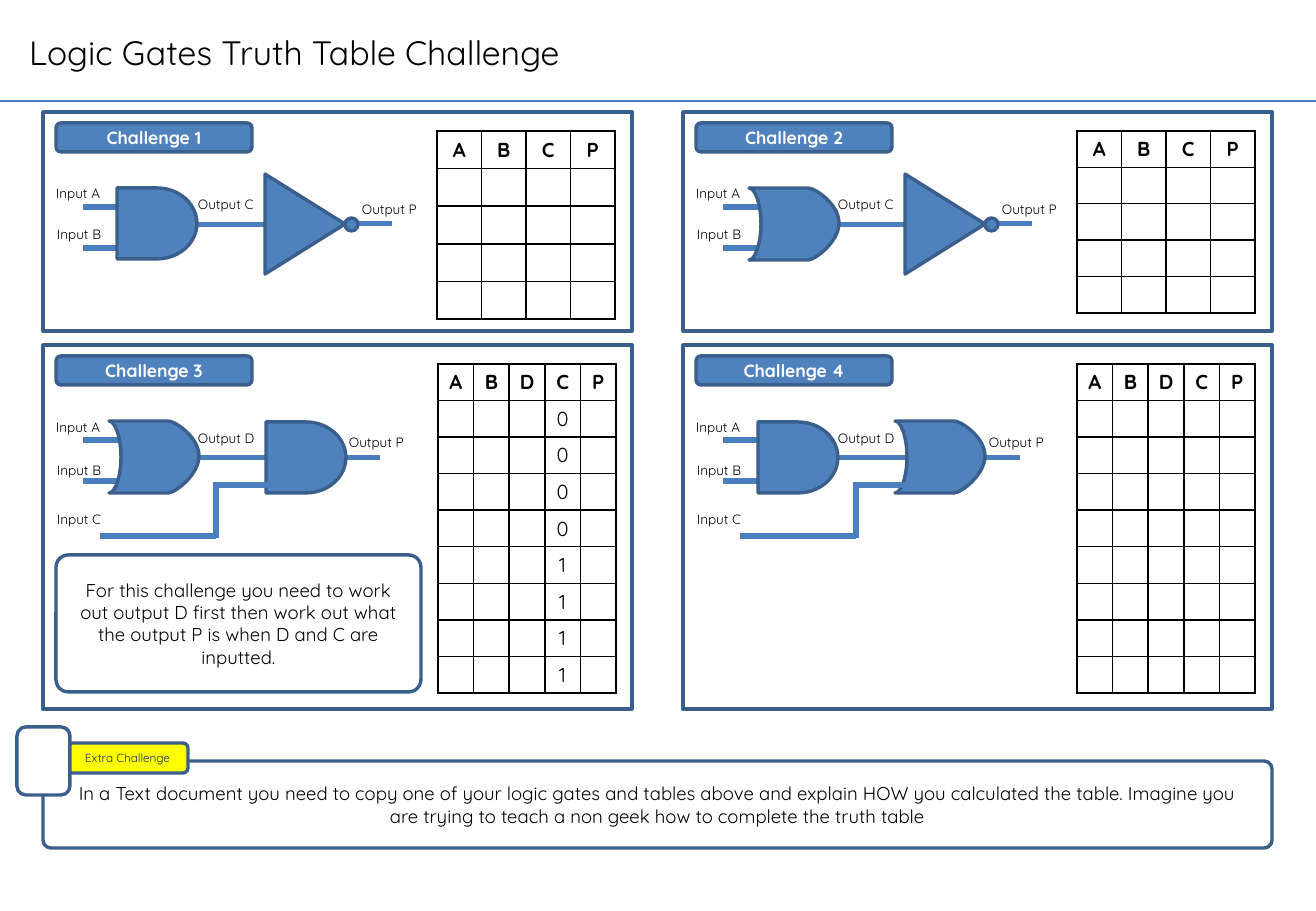
from lxml import etree
from pptx import Presentation
from pptx.dml.color import RGBColor
from pptx.enum.shapes import MSO_CONNECTOR, MSO_SHAPE
from pptx.enum.text import MSO_ANCHOR, PP_ALIGN
from pptx.oxml.ns import qn
from pptx.util import Emu, Pt

LEFT, CENTER = PP_ALIGN.LEFT, PP_ALIGN.CENTER
TOP, MIDDLE = MSO_ANCHOR.TOP, MSO_ANCHOR.MIDDLE
RECTANGLE, ROUNDED = MSO_SHAPE.RECTANGLE, MSO_SHAPE.ROUNDED_RECTANGLE
TRIANGLE, DELAY, OVAL = MSO_SHAPE.FLOWCHART_EXTRACT, MSO_SHAPE.FLOWCHART_DELAY, MSO_SHAPE.OVAL
STRAIGHT = MSO_CONNECTOR.STRAIGHT
BLUE = RGBColor(0x4F, 0x81, 0xBD)
OUTLINE = RGBColor(0x3A, 0x5F, 0x8C)
WIRE = RGBColor(0x4B, 0x7E, 0xBC)
NAVY = RGBColor(0x17, 0x37, 0x5E)
YELLOW = RGBColor(0xFF, 0xFF, 0x00)
WHITE = RGBColor(0xFF, 0xFF, 0xFF)
BLACK = RGBColor(0, 0, 0)
FONT = "Quicksand"
SCALE = 914400 / 121.5

TITLE = "Logic Gates Truth Table Challenge"
HINT = ("For this challenge you need to work out output D first then work out "
        "what the output P is when D and C are inputted.")
EXTRA = ("In a Text document you need to copy one of your logic gates and tables above "
         "and explain HOW you calculated the table. Imagine you are trying to teach "
         "a non geek how to complete the truth table")

CHALLENGES = [
    {"name": "Challenge 1", "gates": [("and", 74, 76), ("not", 222, 72)],
     "columns": "ABCP", "rows": 4, "table_height": 188, "values": {}},
    {"name": "Challenge 2", "gates": [("or", 66, 76), ("not", 222, 72)],
     "columns": "ABCP", "rows": 4, "table_height": 182, "values": {}},
    {"name": "Challenge 3", "gates": [("or", 66, 76), ("and", 223, 77)],
     "columns": "ABDCP", "rows": 8, "table_height": 329, "values": {"C": "00001111"}},
    {"name": "Challenge 4", "gates": [("and", 75, 77), ("or", 212, 76)],
     "columns": "ABDCP", "rows": 8, "table_height": 329, "values": {}},
]
PANEL_LEFTS, PANEL_TOPS = (43, 683), (112, 345)
PANEL_WIDTH, PANEL_HEIGHTS = 589, (219, 364)
INPUT_WIRES = [(40, 95, 75, 95), (40, 136, 75, 136), (154, 113, 223, 113)]
OUTPUT_WIRES = [(315, 112, 349, 112), (303, 113, 337, 113)]
FEED_WIRES = [(228, 140, 171, 140), (173, 137, 173, 193), (173, 191, 57, 191)]
UPPER_LABELS = [("Input A", 1, 67, 72), ("Input B", 2, 108, 72),
                ("Output C", 143, 78, 86), ("Output P", 307, 83, 84)]
LOWER_LABELS = [("Input A", 1, 68, 72), ("Input B", 2, 111, 72),
                ("Output D", 143, 79, 86), ("Output P", 294, 83, 84),
                ("Input C", 2, 160, 73)]
OR_SEGMENTS = [
    [(6, 0), (12, 16), (12, 36)],
    [(12, 56), (6, 72), (0, 72)],
    [(59, 72)],
    [(66, 72), (90, 54), (90, 35)],
    [(90, 16), (66, 0), (59, 0)],
]


def px(value):
    return Emu(round(value * SCALE))


def write_text(frame, text, size=11, color=BLACK, bold=False, align=CENTER,
               anchor=MIDDLE, wrap=True):
    frame.word_wrap = wrap
    frame.vertical_anchor = anchor
    paragraph = frame.paragraphs[0]
    paragraph.alignment = align
    run = paragraph.add_run()
    run.text = text
    run.font.name, run.font.size, run.font.bold = FONT, Pt(size), bold
    run.font.color.rgb = color


def style(shape, fill):
    shape.shadow.inherit = False
    if fill is None:
        shape.fill.background()
    else:
        shape.fill.solid()
        shape.fill.fore_color.rgb = fill
    shape.line.color.rgb = OUTLINE
    shape.line.width = Pt(2)
    return shape


def add_box(kind, left, top, width, height, fill=None, corner=None):
    shape = slide.shapes.add_shape(kind, px(left), px(top), px(width), px(height))
    if corner is not None:
        shape.adjustments[0] = corner
    return style(shape, fill)


def add_wire(x1, y1, x2, y2, weight=3):
    wire = slide.shapes.add_connector(STRAIGHT, px(x1), px(y1), px(x2), px(y2))
    wire.line.color.rgb = WIRE
    wire.line.width = Pt(weight)
    etree.SubElement(wire._element.spPr, qn("a:effectLst"))


def add_wires(wires, left, top):
    for x1, y1, x2, y2 in wires:
        add_wire(left + x1, top + y1, left + x2, top + y2)


def add_or_gate(left, top):
    builder = slide.shapes.build_freeform(px(left), px(top))
    corners = [segment[-1] for segment in OR_SEGMENTS]
    builder.add_line_segments([(px(left + x), px(top + y)) for x, y in corners], close=True)
    shape = style(builder.convert_to_shape(), BLUE)
    lines = list(shape._element.iter(qn("a:lnTo")))
    for line, segment in zip(lines, OR_SEGMENTS):
        if len(segment) == 3:
            curve = etree.Element(qn("a:cubicBezTo"))
            for x, y in segment:
                etree.SubElement(curve, qn("a:pt"), x=str(px(x)), y=str(px(y)))
            line.getparent().replace(line, curve)


def add_gate(kind, left, top):
    if kind == "and":
        add_box(DELAY, left, top, 80, 71, BLUE)
    elif kind == "not":
        add_box(TRIANGLE, left - 10, top, 100, 80, BLUE).rotation = 90
        add_box(OVAL, left + 80, top + 34, 13, 13, BLUE)
    else:
        add_or_gate(left, top)


def format_cell(cell, text, bold):
    cell.fill.solid()
    cell.fill.fore_color.rgb = WHITE
    cell.margin_top = cell.margin_bottom = cell.margin_left = cell.margin_right = 0
    cell.vertical_anchor = MIDDLE
    if text:
        write_text(cell.text_frame, text, size=12, bold=bold)
    else:
        cell.text_frame.paragraphs[0]._p.get_or_add_endParaRPr().set("sz", "1200")
    properties = cell._tc.get_or_add_tcPr()
    for index, side in enumerate(("a:lnL", "a:lnR", "a:lnT", "a:lnB")):
        border = etree.Element(qn(side), w=str(Pt(1)))
        solid = etree.SubElement(border, qn("a:solidFill"))
        etree.SubElement(solid, qn("a:srgbClr"), val=str(BLACK))
        properties.insert(index, border)


def add_truth_table(challenge, left, top):
    columns, row_count = challenge["columns"], challenge["rows"] + 1
    height = challenge["table_height"]
    table = slide.shapes.add_table(row_count, len(columns), px(left), px(top),
                                   px(178), px(height)).table
    table.first_row = table.horz_banding = False
    for row in table.rows:
        row.height = px(height / row_count)
    for index, name in enumerate(columns):
        table.columns[index].width = px(178 / len(columns))
        values = challenge["values"].get(name, " " * challenge["rows"])
        for row_index, value in enumerate(name + values):
            format_cell(table.cell(row_index, index), value.strip(), row_index == 0)


def add_challenge(index, challenge):
    row, column = divmod(index, 2)
    left, top = PANEL_LEFTS[column], PANEL_TOPS[row]
    add_box(RECTANGLE, left, top, PANEL_WIDTH, PANEL_HEIGHTS[row])
    badge = add_box(ROUNDED, left + 13, top + 11, 196, 29, BLUE)
    write_text(badge.text_frame, challenge["name"], size=10.5, color=WHITE, bold=True)
    add_truth_table(challenge, left + 394 + (index == 2), top + 19)
    add_wires(INPUT_WIRES + [OUTPUT_WIRES[row]], left, top)
    for kind, x, y in challenge["gates"]:
        add_gate(kind, left + x, top + y)
    if row == 1:
        add_wires(FEED_WIRES, left, top)
    for text, x, y, width in (UPPER_LABELS, LOWER_LABELS)[row]:
        label = slide.shapes.add_textbox(px(left + x), px(top + y), px(width), px(29))
        write_text(label.text_frame, text, size=8, align=LEFT, anchor=TOP, wrap=False)


presentation = Presentation()
presentation.slide_width, presentation.slide_height = px(1316), px(911)
slide = presentation.slides.add_slide(presentation.slide_layouts[5])

add_wire(0, 101, 1316, 101, weight=0.75)
title = slide.shapes.title
title.left, title.top, title.width, title.height = px(17), px(14), px(745), px(75)
write_text(title.text_frame, TITLE, size=20, align=LEFT)

for index, challenge in enumerate(CHALLENGES):
    add_challenge(index, challenge)

hint = add_box(ROUNDED, 56, 555, 365, 137, corner=0.09)
write_text(hint.text_frame, HINT)
extra = add_box(ROUNDED, 43, 761, 1229, 87, corner=0.09)
extra.text_frame.margin_left = extra.text_frame.margin_right = px(24)
write_text(extra.text_frame, EXTRA)
extra_badge = add_box(ROUNDED, 67, 743, 121, 30, YELLOW)
write_text(extra_badge.text_frame, "Extra Challenge", size=7, color=NAVY)
add_box(ROUNDED, 17, 727, 53, 68, WHITE)

presentation.save("out.pptx")
